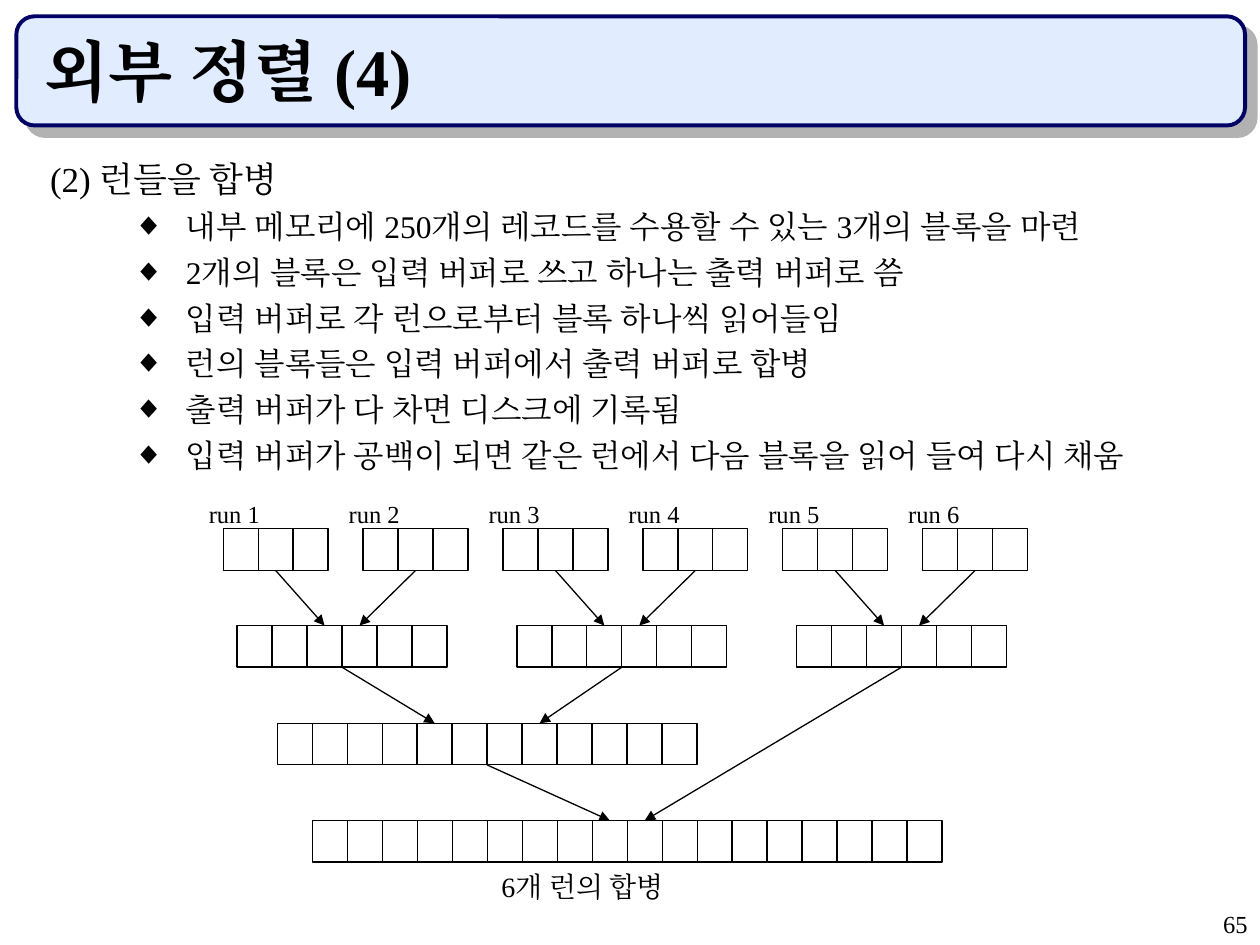
from dataclasses import dataclass

from lxml import etree
from pptx import Presentation
from pptx.dml.color import RGBColor as RGB
from pptx.enum.shapes import MSO_CONNECTOR as CONN, MSO_SHAPE as SHAPE
from pptx.enum.text import MSO_ANCHOR as ANCHOR, PP_ALIGN as ALIGN
from pptx.oxml.ns import qn
from pptx.util import Cm, Pt


@dataclass(frozen=True)
class Theme:
    font: str = "Times New Roman"
    ink: RGB = RGB(0x00, 0x00, 0x00)
    banner: RGB = RGB(0xE1, 0xEC, 0xFF)
    border: RGB = RGB(0x00, 0x00, 0x66)
    shadow: str = "B2B2B2"
    title: int = 38
    heading: int = 20
    bullet: int = 18
    caption: int = 16
    label: int = 14
    thin: float = 0.75
    thick: float = 2.25


BOTTOM, TOP = 2, 0
CELL_W, CELL_H = 0.705, 0.84


class Deck:
    def __init__(self, slide, theme):
        self.slide = slide
        self.theme = theme

    def banner(self, x, y, w, h):
        t = self.theme
        s = self.slide.shapes.add_shape(SHAPE.ROUNDED_RECTANGLE, Cm(x), Cm(y), Cm(w), Cm(h))
        s.fill.solid()
        s.fill.fore_color.rgb = t.banner
        s.line.color.rgb = t.border
        s.line.width = Pt(t.thick)
        # Hard offset shadow to the lower right
        s.shadow.inherit = False
        effects = s._element.spPr.find(qn("a:effectLst"))
        shadow = etree.SubElement(effects, qn("a:outerShdw"), blurRad="0",
                                  dist=str(Pt(8.5)), dir="2700000", algn="ctr", rotWithShape="0")
        etree.SubElement(shadow, qn("a:srgbClr"), val=t.shadow)

    def text_box(self, x, y, w, h, anchor=ANCHOR.TOP):
        tf = self.slide.shapes.add_textbox(Cm(x), Cm(y), Cm(w), Cm(h)).text_frame
        tf.word_wrap = True
        tf.vertical_anchor = anchor
        return tf

    def paragraph(self, p, text, size, bold=False, **formats):
        for name, value in formats.items():
            setattr(p, name, value)
        r = p.add_run()
        r.text = text
        style = {"name": self.theme.font, "size": Pt(size), "bold": bold}
        for name, value in style.items():
            setattr(r.font, name, value)
        r.font.color.rgb = self.theme.ink
        # Same typeface for the Korean text
        etree.SubElement(r._r.get_or_add_rPr(), qn("a:ea"), typeface=self.theme.font)

    def bullet(self, p, text, size, **formats):
        self.paragraph(p, text, size, **formats)
        pPr = p._p.get_or_add_pPr()
        pPr.set("marL", str(Cm(2.74)))
        pPr.set("indent", str(Cm(-1.07)))
        etree.SubElement(pPr, qn("a:buFont"), typeface=self.theme.font)
        etree.SubElement(pPr, qn("a:buChar"), char="◆")

    def blocks(self, x, y, count):
        """Draw a row of adjoining blocks and return them."""
        return [self.block(x + i * CELL_W, y) for i in range(count)]

    def block(self, x, y):
        s = self.slide.shapes.add_shape(SHAPE.RECTANGLE, Cm(x), Cm(y), Cm(CELL_W), Cm(CELL_H))
        s.shadow.inherit = False
        s.fill.background()
        s.line.color.rgb = self.theme.ink
        s.line.width = Pt(self.theme.thin)
        return s

    def arrow(self, source, target, from_corner=False):
        """Point from the bottom of one block to the top of another."""
        c = self.slide.shapes.add_connector(
            CONN.STRAIGHT, source.left, source.top + source.height, target.left, target.top)
        if not from_corner:
            c.begin_connect(source, BOTTOM)
        c.end_connect(target, TOP)
        c.line.color.rgb = self.theme.ink
        c.line.width = Pt(self.theme.thin)
        etree.SubElement(c.line._get_or_add_ln(), qn("a:tailEnd"), type="triangle")
        etree.SubElement(c._element.spPr, qn("a:effectLst"))


def main():
    prs = Presentation()
    prs.slide_width, prs.slide_height = Cm(25.4), Cm(19.05)
    theme = Theme()
    deck = Deck(prs.slides.add_slide(prs.slide_layouts[6]), theme)

    # Title
    deck.banner(0.33, 0.33, 24.77, 2.2)
    tf = deck.text_box(0.64, 0.64, 23.93, 1.7, ANCHOR.BOTTOM)
    deck.paragraph(tf.paragraphs[0], "외부 정렬 (4)", theme.title, bold=True)

    # Heading and steps
    tf = deck.text_box(0.76, 3.05, 24.6, 6.9)
    deck.paragraph(tf.paragraphs[0], "(2) 런들을 합병", theme.heading, space_before=Pt(5))
    steps = [
        "내부 메모리에 250개의 레코드를 수용할 수 있는 3개의 블록을 마련",
        "2개의 블록은 입력 버퍼로 쓰고 하나는 출력 버퍼로 씀",
        "입력 버퍼로 각 런으로부터 블록 하나씩 읽어들임",
        "런의 블록들은 입력 버퍼에서 출력 버퍼로 합병",
        "출력 버퍼가 다 차면 디스크에 기록됨",
        "입력 버퍼가 공백이 되면 같은 런에서 다음 블록을 읽어 들여 다시 채움",
    ]
    for step in steps:
        deck.bullet(tf.add_paragraph(), step, theme.bullet, space_before=Pt(4.5))

    # Six initial runs with their labels
    pitch = 2.82
    runs = []
    for i in range(6):
        runs.append(deck.blocks(4.5 + i * pitch, 10.66, 3))
        tf = deck.text_box(3.96 + i * pitch, 9.94, 3.43, 0.86)
        deck.paragraph(tf.paragraphs[0], f"run {i + 1}", theme.label, space_before=Pt(3.5))

    # Merged runs, level by level
    pairs = [deck.blocks(4.78 + i * 2 * pitch, 12.61, 6) for i in range(3)]
    four = deck.blocks(5.59, 14.58, 12)
    final = deck.blocks(6.3, 16.54, 18)

    # Merge arrows
    for i, pair in enumerate(pairs):
        deck.arrow(runs[2 * i][1], pair[2])
        deck.arrow(runs[2 * i + 1][1], pair[3])
    merges = [(pairs[0], four[4]), (pairs[1], four[7]), (four, final[8]), (pairs[2], final[9])]
    for row, target in merges:
        deck.arrow(row[len(row) // 2], target, from_corner=True)

    # Caption and page number
    tf = deck.text_box(9.86, 17.4, 5.59, 0.94)
    deck.paragraph(tf.paragraphs[0], "6개 런의 합병", theme.caption, space_before=Pt(4))
    tf = deck.text_box(20.12, 18.21, 5.28, 0.84)
    deck.paragraph(tf.paragraphs[0], "65", theme.label, alignment=ALIGN.RIGHT, space_before=Pt(8.8))

    prs.save("out.pptx")


if __name__ == "__main__":
    main()
